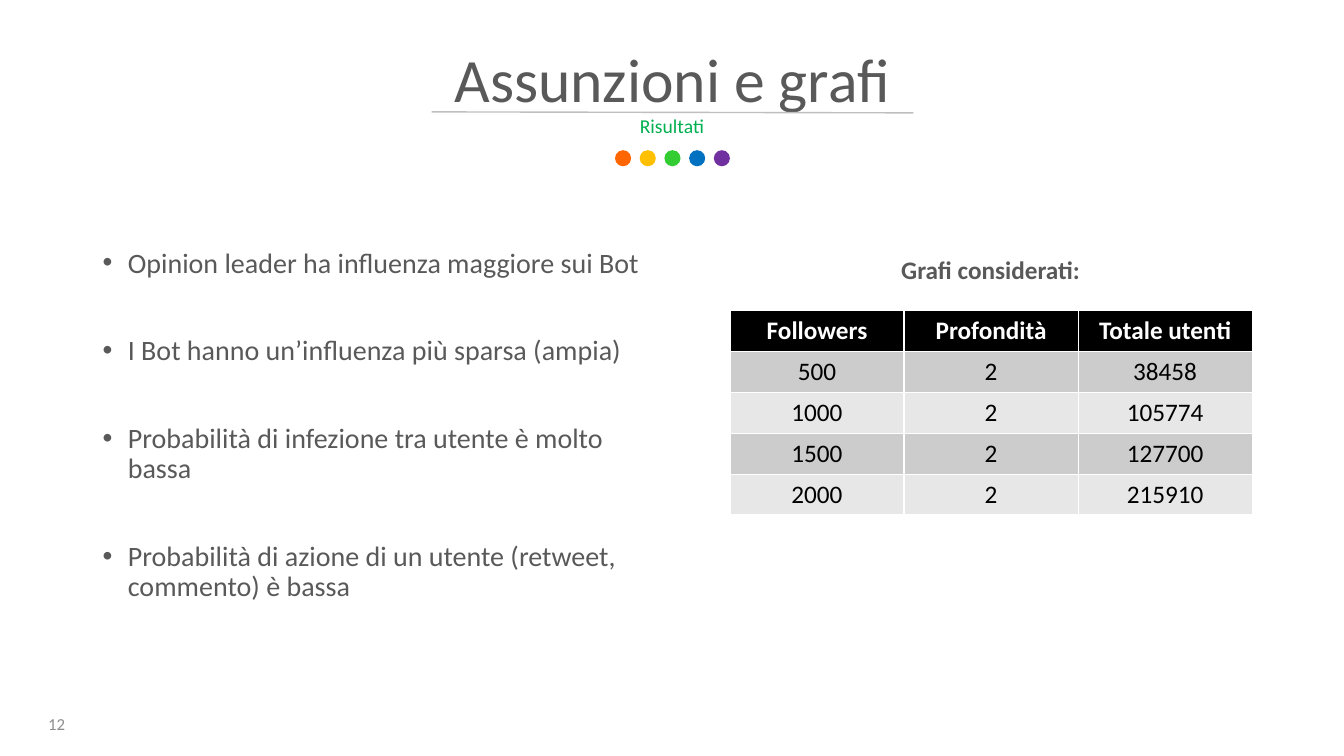
from lxml import etree
from pptx import Presentation, util as u
from pptx.dml.color import RGBColor
from pptx.enum import shapes, text
from pptx.oxml import ns


def colour(code):
    return RGBColor.from_string(code)


def write(frame, lines, look, layout, bullet=None):
    frame.word_wrap = True
    for index, line in enumerate(lines):
        para = frame.paragraphs[0] if index == 0 else frame.add_paragraph()
        if bullet:
            props = para._p.get_or_add_pPr()
            props.set("marL", str(u.Inches(0.25)))
            props.set("indent", str(-u.Inches(0.25)))
            etree.SubElement(props, ns.qn("a:buFont")).set("typeface", "Arial")
            etree.SubElement(props, ns.qn("a:buChar")).set("char", bullet)
        for name, value in layout.items():
            setattr(para, name, value)
        if index == 0:
            para.space_before = u.Pt(0)
        span = para.add_run()
        span.text = line
        span.font.name = "Calibri"
        span.font.color.rgb = colour(look["ink"])
        for name in ("size", "bold"):
            setattr(span.font, name, look[name])


deck = Presentation()
deck.slide_width, deck.slide_height = u.Inches(13.33), u.Inches(7.5)
page = deck.slides.add_slide(deck.slide_layouts[5])

GREY = "595959"
CENTER = text.PP_ALIGN.CENTER
LEFT = text.PP_ALIGN.LEFT
TOP, MIDDLE, BOTTOM = text.MSO_ANCHOR.TOP, text.MSO_ANCHOR.MIDDLE, text.MSO_ANCHOR.BOTTOM

dot_left, dot_top, dot_size, dot_step = 6.1, 1.49, 0.16, 0.245
for column, fill in enumerate(["FF6600", "FFC000", "33CC33", "0070C0", "7030A0"]):
    dot = page.shapes.add_shape(
        shapes.MSO_SHAPE.OVAL, u.Inches(dot_left + column * dot_step),
        u.Inches(dot_top), u.Inches(dot_size), u.Inches(dot_size))
    dot.shadow.inherit = False
    dot.fill.solid()
    dot.fill.fore_color.rgb = colour(fill)
    dot.line.fill.background()

rule = page.shapes.add_connector(
    shapes.MSO_CONNECTOR.STRAIGHT,
    u.Inches(9.06), u.Inches(1.12), u.Inches(4.28), u.Inches(1.11))
rule.line.color.rgb = colour("BFBFBF")
rule.line.width = u.Pt(1)
etree.SubElement(rule._element.spPr, ns.qn("a:effectLst"))

title = page.shapes.title
for name, inches in {"left": 0.92, "top": 0.38, "width": 11.5, "height": 0.82}.items():
    setattr(title, name, u.Inches(inches))
title.text_frame.vertical_anchor = BOTTOM
write(title.text_frame, ["Assunzioni e grafi"],
      {"size": u.Pt(44), "bold": False, "ink": GREY},
      {"alignment": CENTER, "line_spacing": 0.9})

bullets = [
    "Opinion leader ha influenza maggiore sui Bot",
    "I Bot hanno un’influenza più sparsa (ampia)",
    "Probabilità di infezione tra utente è molto bassa",
    "Probabilità di azione di un utente (retweet, commento) è bassa",
]
blocks = [
    ((0.38, 6.98, 3, 0.4), ["12"], 12, False, "8C8C8C", MIDDLE, None,
     {"alignment": LEFT}),
    ((4.16, 1.11, 5.01, 0.33), ["Risultati"], 14, False, "00B050", TOP, None,
     {"alignment": CENTER, "line_spacing": 0.9}),
    ((0.92, 2.42, 5.6, 4.56), bullets, 20, False, GREY, TOP, "•",
     {"alignment": LEFT, "line_spacing": 0.9, "space_before": u.Pt(41)}),
    ((6.49, 2.32, 6.67, 0.51), ["Grafi considerati:"], 18, True, GREY, TOP, None,
     {"alignment": CENTER, "line_spacing": 1.5}),
]
for place, lines, size, bold, ink, anchor, bullet, layout in blocks:
    box = page.shapes.add_textbox(*map(u.Inches, place))
    box.text_frame.vertical_anchor = anchor
    write(box.text_frame, lines, {"size": u.Pt(size), "bold": bold, "ink": ink},
          layout, bullet)

graphs = [
    ["Followers", "Profondità", "Totale utenti"],
    ["500", "2", "38458"],
    ["1000", "2", "105774"],
    ["1500", "2", "127700"],
    ["2000", "2", "215910"],
]
table = page.shapes.add_table(
    len(graphs), len(graphs[0]), u.Inches(7.24), u.Inches(3.08),
    u.Inches(5.18), u.Inches(2.03)).table
for row, values in enumerate(graphs):
    header = row == 0
    fill = "000000" if header else ("CCCCCC" if row % 2 else "E7E7E7")
    look = {"size": u.Pt(18), "bold": header, "ink": "FFFFFF" if header else "000000"}
    for column, value in enumerate(values):
        cell = table.cell(row, column)
        cell.fill.solid()
        cell.fill.fore_color.rgb = colour(fill)
        write(cell.text_frame, [value], look, {"alignment": CENTER})

deck.save("out.pptx")
